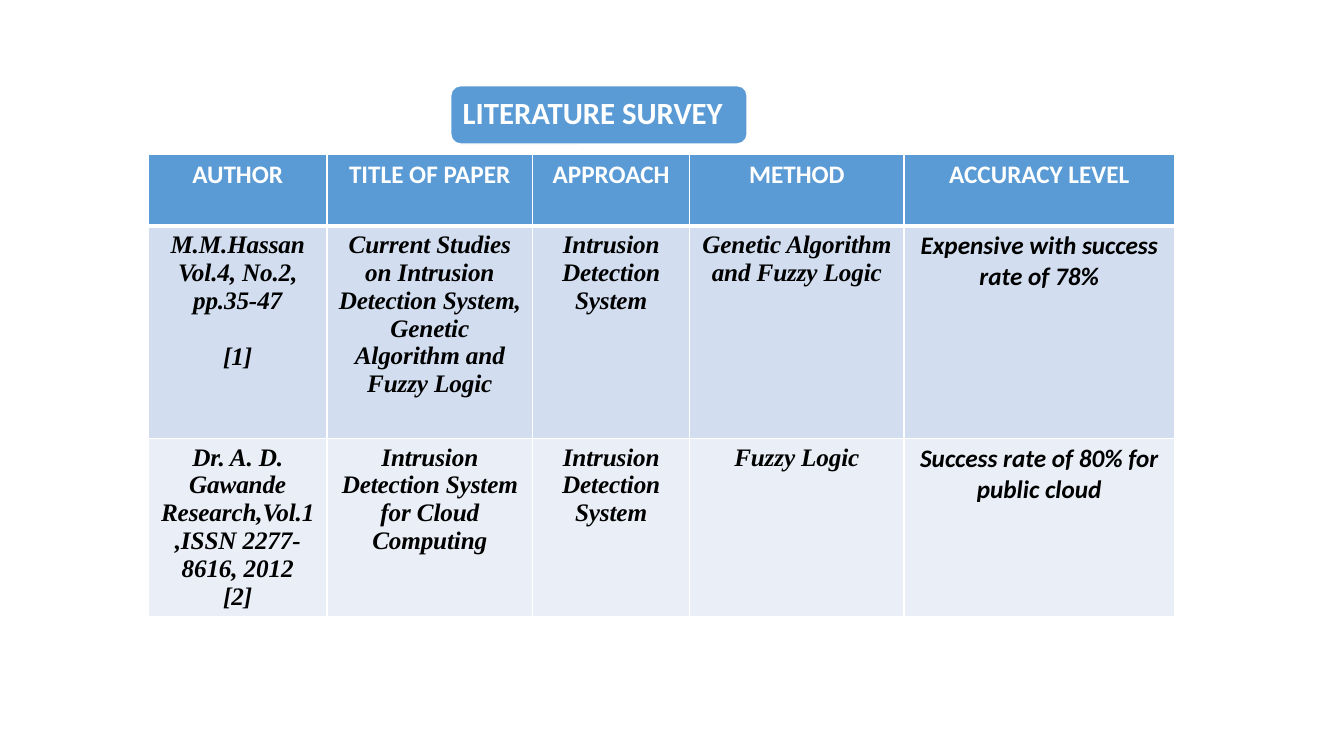
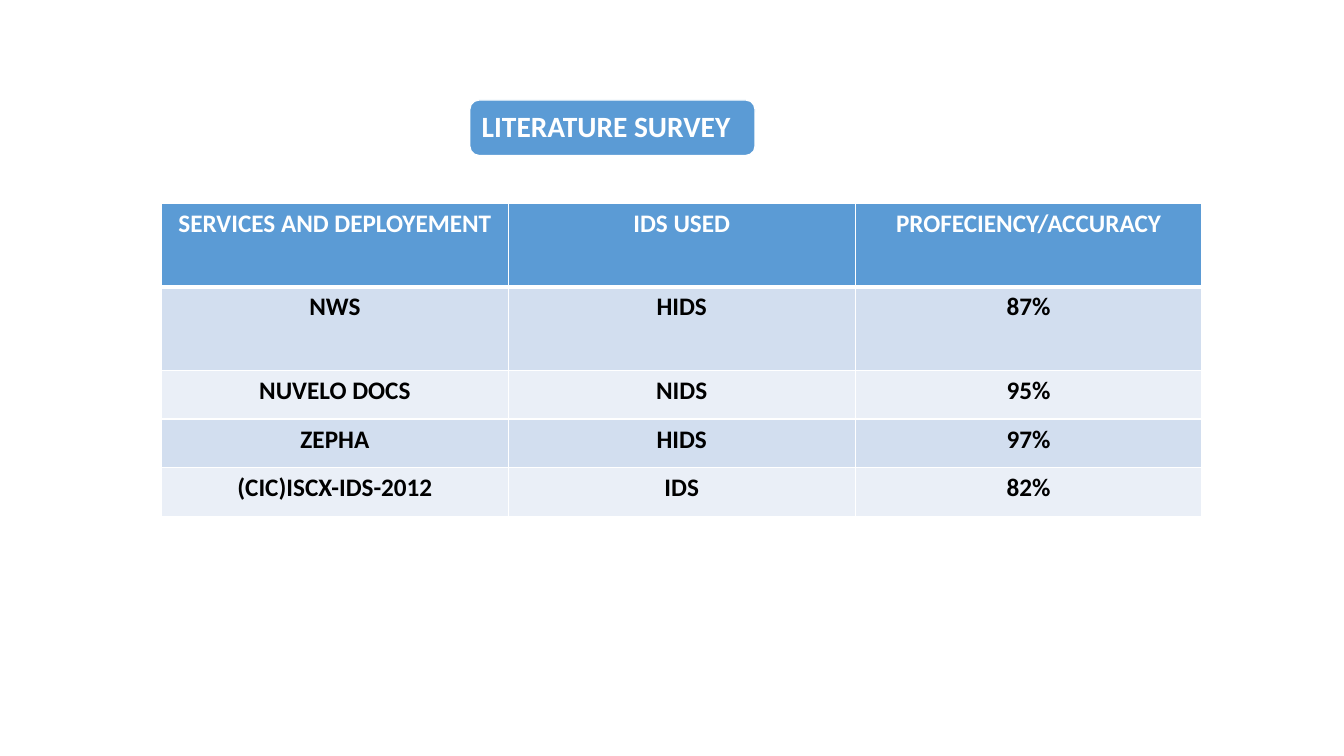
from dataclasses import dataclass

from lxml import etree
from pptx import Presentation
from pptx.dml.color import RGBColor
from pptx.enum import shapes, text
from pptx.oxml import ns
from pptx.util import Cm, Pt

WHITE = RGBColor(0xFF, 0xFF, 0xFF)
BLACK = RGBColor(0x00, 0x00, 0x00)
BLUE = RGBColor(0x5B, 0x9B, 0xD5)
BANDS = (RGBColor(0xD2, 0xDE, 0xEF), RGBColor(0xEA, 0xEF, 0xF7))
SANS = "Calibri"
SERIF = "Times New Roman"
TITLE = "LITERATURE SURVEY"
TITLE_INSET = 0.07  # gap between the band and its text, in cm
TITLE_ONLY_LAYOUT = 5


@dataclass(frozen=True)
class Box:
    left: float
    top: float
    width: float
    height: float


@dataclass(frozen=True)
class SurveySlide:
    band: Box
    title_size: int
    left: float
    top: float
    columns: tuple[float, ...]
    heights: tuple[float, ...]
    rows: tuple[tuple[str, ...], ...]
    italic: bool = False
    serif_columns: int = 0
    last_line_gap: int = 0  # points above a bracketed reference in the first row


SURVEYS = (
    SurveySlide(
        band=Box(11.36, 2.16, 7.47, 1.47),
        title_size=22,
        left=3.74,
        top=3.89,
        columns=(4.5, 5.18, 3.96, 5.4, 6.82),
        heights=(1.8, 5.36, 4.49),
        rows=(
            ("AUTHOR", "TITLE OF PAPER", "APPROACH", "METHOD", "ACCURACY LEVEL"),
            ("M.M.Hassan\nVol.4, No.2, pp.35-47\n[1]",
             "Current Studies on Intrusion Detection System, Genetic Algorithm and Fuzzy Logic",
             "Intrusion Detection System",
             "Genetic Algorithm and Fuzzy Logic",
             "Expensive with success rate of 78%"),
            ("Dr. A. D. Gawande\nResearch,Vol.1,ISSN 2277-8616, 2012\n[2]",
             "Intrusion Detection System for Cloud Computing",
             "Intrusion Detection System",
             "Fuzzy Logic",
             "Success rate of 80% for public cloud"),
        ),
        italic=True,
        serif_columns=4,
        last_line_gap=20,
    ),
    SurveySlide(
        band=Box(11.84, 2.52, 7.19, 1.4),
        title_size=21,
        left=4.07,
        top=5.13,
        columns=(8.74,) * 3,
        heights=(2.1, 2.1, 1.23, 1.23, 1.23),
        rows=(
            ("SERVICES AND DEPLOYEMENT", "IDS USED", "PROFECIENCY/ACCURACY"),
            ("NWS", "HIDS", "87%"),
            ("NUVELO DOCS", "NIDS", "95%"),
            ("ZEPHA", "HIDS", "97%"),
            ("(CIC)ISCX-IDS-2012", "IDS", "82%"),
        ),
    ),
)


def write_text(frame, content: str, *, size: int = 18, color: RGBColor = BLACK,
               font: str = SANS, italic: bool = False, tracking: int = 0,
               align=text.PP_ALIGN.CENTER) -> None:
    """Write one bold paragraph per line; tracking is in hundredths of a point."""
    for index, line in enumerate(content.split("\n")):
        paragraph = frame.paragraphs[0] if index == 0 else frame.add_paragraph()
        paragraph.alignment = align
        run = paragraph.add_run()
        run.text = line
        run.font.size = Pt(size)
        run.font.name = font
        run.font.bold = True
        run.font.italic = italic
        run.font.color.rgb = color
        if tracking:
            run.font._element.set("spc", str(tracking))


def set_borders(cell, *, top: float = 1, bottom: float = 1) -> None:
    """Draw white borders, with widths in points."""
    properties = cell._tc.get_or_add_tcPr()
    widths = {"a:lnL": 1, "a:lnR": 1, "a:lnT": top, "a:lnB": bottom}
    for index, (tag, width) in enumerate(widths.items()):
        line = etree.Element(ns.qn(tag), w=str(Pt(width)))
        fill = etree.SubElement(line, ns.qn("a:solidFill"))
        etree.SubElement(fill, ns.qn("a:srgbClr"), val=str(WHITE))
        properties.insert(index, line)


def add_title(slide, survey: SurveySlide) -> None:
    # Rounded band, placed behind the title
    box = survey.band
    band = slide.shapes.add_shape(
        shapes.MSO_SHAPE.ROUNDED_RECTANGLE,
        Cm(box.left), Cm(box.top), Cm(box.width), Cm(box.height))
    band.shadow.inherit = False
    band.fill.solid()
    band.fill.fore_color.rgb = BLUE
    band.line.color.rgb = WHITE
    band.line.width = Pt(1)

    title = slide.shapes.title
    band._element.getparent().remove(band._element)
    title._element.addprevious(band._element)
    title.left, title.top = Cm(box.left + TITLE_INSET), Cm(box.top + TITLE_INSET)
    title.width = Cm(box.width - 2 * TITLE_INSET)
    title.height = Cm(box.height - 2 * TITLE_INSET)
    frame = title.text_frame
    frame.auto_size = text.MSO_AUTO_SIZE.NONE
    frame.word_wrap = True
    frame.vertical_anchor = text.MSO_ANCHOR.MIDDLE
    frame.margin_left = frame.margin_right = Cm(0.23)
    frame.margin_top = frame.margin_bottom = Cm(0.23)
    write_text(frame, TITLE, size=survey.title_size, color=WHITE,
               align=text.PP_ALIGN.LEFT)
    frame.paragraphs[0].line_spacing = 0.9


def add_survey_table(slide, survey: SurveySlide) -> None:
    table = slide.shapes.add_table(
        len(survey.rows), len(survey.columns), Cm(survey.left), Cm(survey.top),
        Cm(sum(survey.columns)), Cm(sum(survey.heights))).table
    for column, width in zip(table.columns, survey.columns):
        column.width = Cm(width)
    for row, height in zip(table.rows, survey.heights):
        row.height = Cm(height)

    for row_index, contents in enumerate(survey.rows):
        header = row_index == 0
        for column_index, content in enumerate(contents):
            cell = table.cell(row_index, column_index)
            serif = not header and column_index < survey.serif_columns
            write_text(cell.text_frame, content,
                       color=WHITE if header else BLACK,
                       font=SERIF if serif else SANS,
                       italic=survey.italic and not header,
                       tracking=-10 if serif else 0)
            cell.fill.solid()
            cell.fill.fore_color.rgb = BLUE if header else BANDS[(row_index - 1) % 2]
            set_borders(cell, top=3 if row_index == 1 else 1,
                        bottom=3 if header else 1)

    # Set the first reference number apart from its citation
    if survey.last_line_gap:
        reference = table.cell(1, 0).text_frame.paragraphs[-1]
        reference.space_before = Pt(survey.last_line_gap)


def main() -> None:
    presentation = Presentation()
    presentation.slide_width, presentation.slide_height = Cm(33.87), Cm(19.05)
    for survey in SURVEYS:
        slide = presentation.slides.add_slide(
            presentation.slide_layouts[TITLE_ONLY_LAYOUT])
        add_title(slide, survey)
        add_survey_table(slide, survey)
    presentation.save("out.pptx")


if __name__ == "__main__":
    main()
